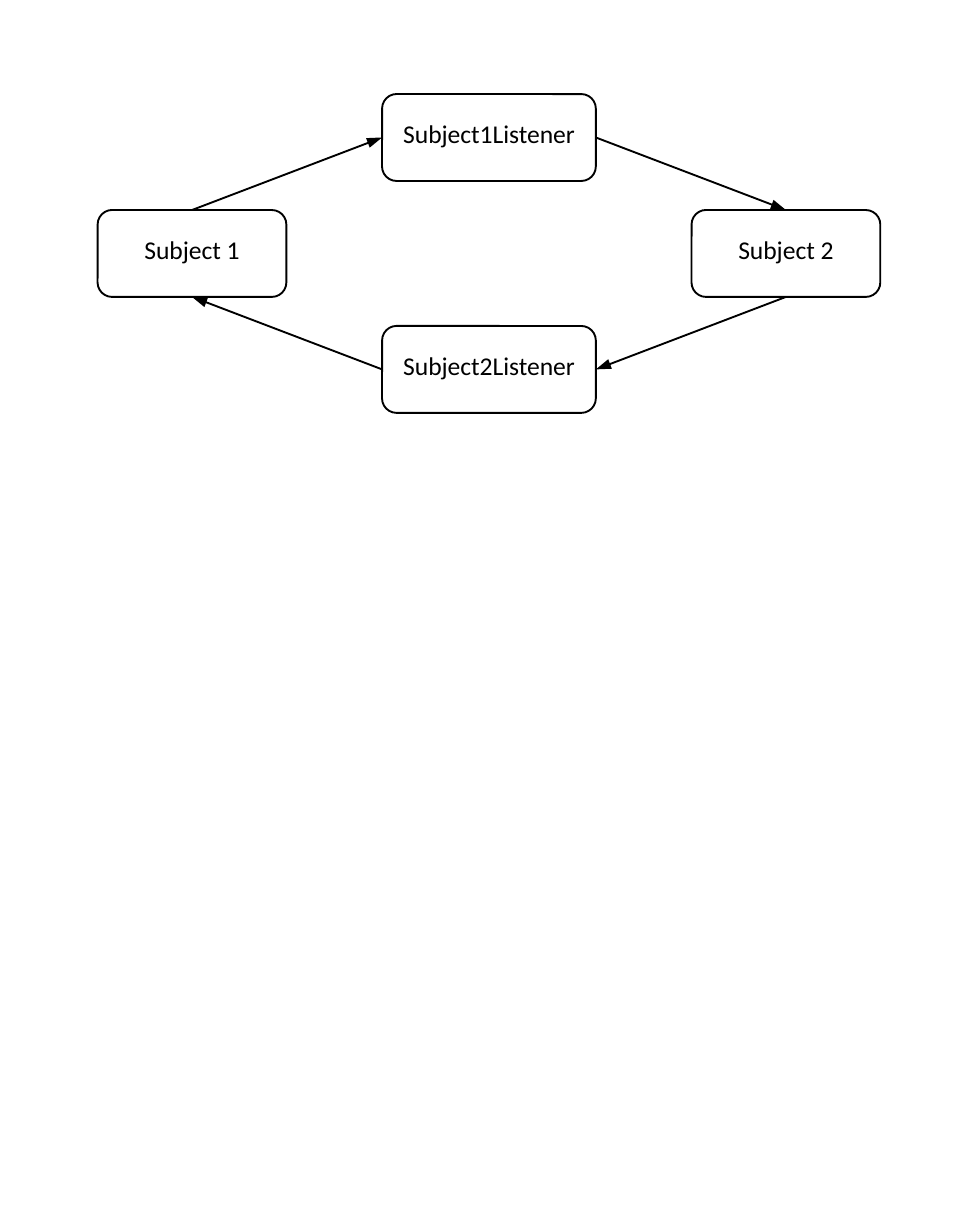
from dataclasses import dataclass

from lxml.etree import SubElement
from pptx import Presentation
from pptx.dml.color import RGBColor
from pptx.enum.shapes import MSO_CONNECTOR, MSO_SHAPE
from pptx.enum.text import MSO_ANCHOR, PP_ALIGN
from pptx.oxml.ns import qn
from pptx.util import Pt


@dataclass(frozen=True)
class Theme:
    ink: RGBColor = RGBColor(0, 0, 0)
    font: str = "Calibri"
    label_size: float = 10
    line_width: float = 0.75


THEME = Theme()
TOP, LEFT, BOTTOM, RIGHT = range(4)
NODE_HEIGHT = 34
SUBJECT_WIDTH = 73.8
LISTENER_WIDTH = 83.6


def apply_format(target, values):
    for attribute, value in values.items():
        setattr(target, attribute, value)


def draw_outline(line):
    line.color.rgb = THEME.ink
    line.width = Pt(THEME.line_width)


def add_node(slide, label, left, top, width):
    node = slide.shapes.add_shape(
        MSO_SHAPE.FLOWCHART_ALTERNATE_PROCESS,
        Pt(left), Pt(top), Pt(width), Pt(NODE_HEIGHT))
    node.shadow.inherit = False
    node.fill.background()
    draw_outline(node.line)
    apply_format(node.text_frame, {
        "word_wrap": True, "vertical_anchor": MSO_ANCHOR.MIDDLE,
        "margin_left": 0, "margin_right": 0,
        "margin_top": 0, "margin_bottom": Pt(3)})
    paragraph = node.text_frame.paragraphs[0]
    paragraph.alignment = PP_ALIGN.CENTER
    run = paragraph.add_run()
    run.text = label
    apply_format(run.font, {"name": THEME.font, "size": Pt(THEME.label_size)})
    run.font.color.rgb = THEME.ink
    return node


def add_arrow(slide, source, source_side, target, target_side):
    arrow = slide.shapes.add_connector(MSO_CONNECTOR.STRAIGHT, 0, 0, 0, 0)
    arrow.begin_connect(source, source_side)
    arrow.end_connect(target, target_side)
    draw_outline(arrow.line)
    SubElement(arrow.line._get_or_add_ln(), qn("a:tailEnd"),
               type="triangle", w="sm", len="med")
    SubElement(arrow._element.spPr, qn("a:effectLst"))


def add_listener_cycle(slide, left, top, width, height):
    """Place subjects at the sides and listeners above and below, in a loop."""
    middle = top + (height - NODE_HEIGHT) / 2
    bottom = top + height - NODE_HEIGHT
    right = left + width - SUBJECT_WIDTH
    center = left + (width - LISTENER_WIDTH) / 2

    subject1 = add_node(slide, "Subject 1", left, middle, SUBJECT_WIDTH)
    listener1 = add_node(slide, "Subject1Listener", center, top, LISTENER_WIDTH)
    subject2 = add_node(slide, "Subject 2", right, middle, SUBJECT_WIDTH)
    listener2 = add_node(slide, "Subject2Listener", center, bottom, LISTENER_WIDTH)

    for link in (
        (subject1, TOP, listener1, LEFT),
        (listener1, RIGHT, subject2, TOP),
        (subject2, BOTTOM, listener2, RIGHT),
        (listener2, LEFT, subject1, BOTTOM),
    ):
        add_arrow(slide, *link)


def main():
    presentation = Presentation()
    apply_format(presentation, {"slide_width": Pt(382.5), "slide_height": Pt(481.9)})
    slide = presentation.slides.add_slide(presentation.slide_layouts[6])
    add_listener_cycle(slide, left=38.2, top=36.8, width=306.1, height=124.7)
    presentation.save("out.pptx")


if __name__ == "__main__":
    main()
